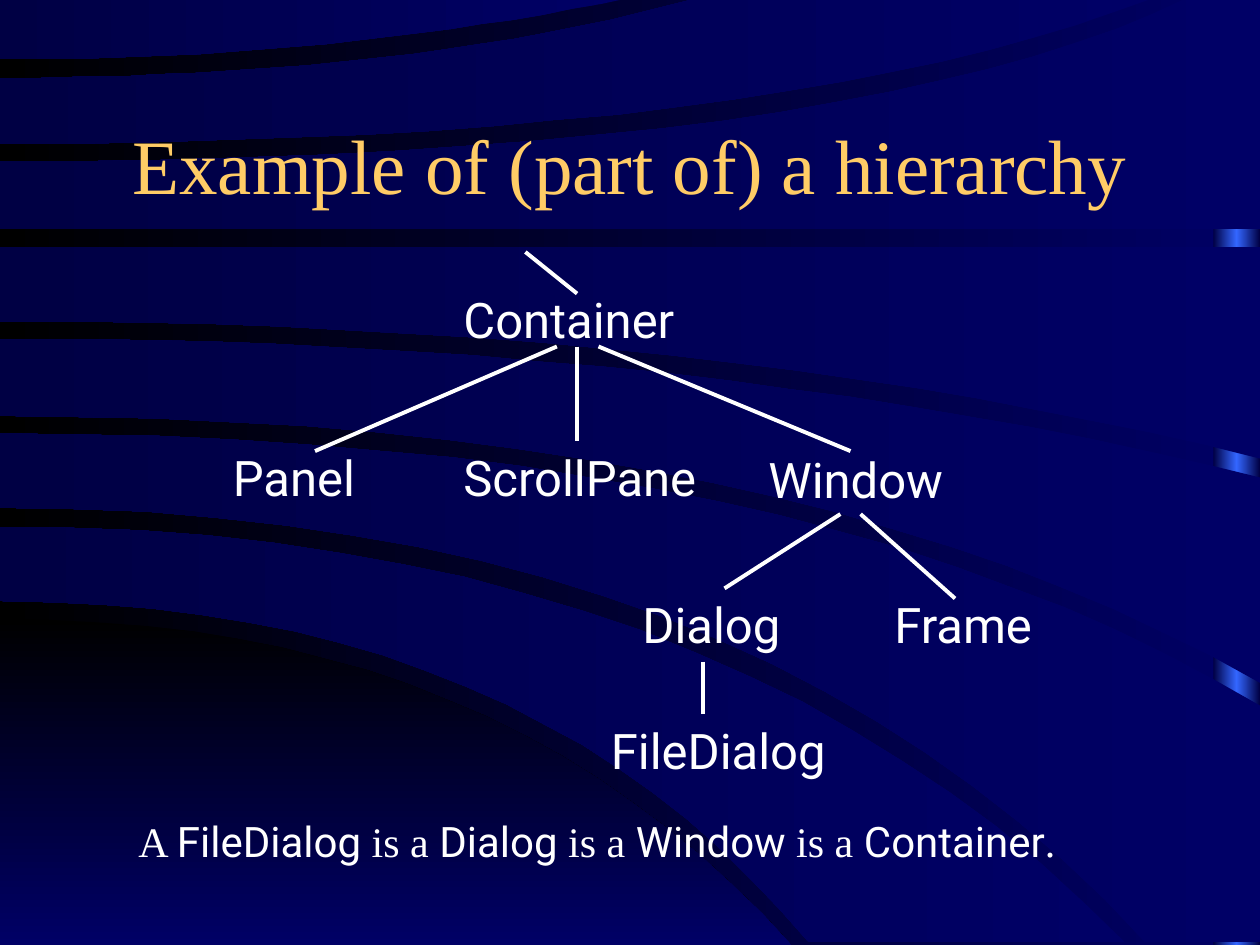
from copy import deepcopy
from dataclasses import dataclass

from lxml import etree
from pptx import Presentation
from pptx.dml.color import RGBColor
from pptx.enum import shapes, text
from pptx.oxml.ns import qn
from pptx.util import Pt

PX = 9144  # EMU per px, 100 px to the inch
WIDTH, HEIGHT = 1000, 750
STEPS = 20  # straight pieces in one curved edge
SERIF, SANS = "Times New Roman", "Roboto"

NAVY = RGBColor(0x00, 0x00, 0x66)
DEEP = RGBColor(0x00, 0x00, 0x44)
BLACK = RGBColor(0x00, 0x00, 0x00)
BLUE = RGBColor(0x33, 0x66, 0xFF)
GOLD = RGBColor(0xFF, 0xCC, 0x66)
WHITE = RGBColor(0xFF, 0xFF, 0xFF)

Point = tuple[int, int]


@dataclass
class Edge:
    """Curve that leaves the left side level and bends towards its end."""
    y: int
    bend: int
    end: Point

    def points(self) -> list[Point]:
        curve = []
        for step in range(STEPS + 1):
            t = step / STEPS
            x = 2 * t * (1 - t) * self.bend + t * t * self.end[0]
            curve.append((round(x), round(self.y + t * t * (self.end[1] - self.y))))
        return curve


@dataclass
class Band:
    upper: Edge
    lower: Edge
    corner: Point | None = None


@dataclass
class Node:
    name: str
    x: int
    y: int
    w: int
    h: int = 57


@dataclass
class Link:
    start: Point
    end: Point


def level(y: int, x_end: int = WIDTH) -> Edge:
    return Edge(y, x_end // 2, (x_end, y))


DISC = Band(Edge(491, 398, (628, HEIGHT)), level(HEIGHT, 628))

# From the lowest to the highest
BANDS = [
    Band(Edge(418, 570, (893, 748)), Edge(477, 419, (642, 748))),
    Band(Edge(344, 640, (WIDTH, 560)), Edge(403, 595, (909, 748)), (WIDTH, 748)),
    Band(Edge(269, 556, (WIDTH, 379)), Edge(330, 630, (WIDTH, 542))),
    Band(level(196), Edge(255, 566, (WIDTH, 364))),
    Band(Edge(128, 676, (943, -2)), level(182), (WIDTH, -2)),
    Band(Edge(62, 322, (556, -2)), Edge(114, 616, (917, -2))),
    Band(level(-2, 501), Edge(47, 268, (501, -2))),
]

NODES = [
    Node("Container", 358, 225, 300),
    Node("Panel", 175, 350, 133),
    Node("ScrollPane", 358, 350, 208, 104),
    Node("Window", 600, 352, 167, 104),
    Node("Dialog", 500, 467, 142),
    Node("Frame", 700, 467, 142),
    Node("FileDialog", 475, 567, 208),
]

LINKS = [
    Link((442, 275), (250, 358)),
    Link((458, 275), (458, 350)),
    Link((475, 275), (675, 358)),
    Link((667, 408), (575, 467)),
    Link((683, 408), (758, 475)),
    Link((558, 525), (558, 567)),
    Link((458, 233), (417, 200)),
]


def set_gradient(fill, first: RGBColor, last: RGBColor, angle: int) -> None:
    fill.gradient()
    fill.gradient_angle = angle
    for stop, color in zip(fill.gradient_stops, (first, last)):
        stop.color.rgb = color


def add_band(parent, band: Band, first: RGBColor, last: RGBColor, angle: int) -> None:
    corner = [band.corner] if band.corner else []
    points = band.upper.points() + corner + band.lower.points()[::-1]
    builder = parent.build_freeform(*points[0], scale=PX)
    builder.add_line_segments(points[1:], close=True)
    sp = builder.convert_to_shape()
    sp.shadow.inherit = False
    sp.line.fill.background()
    set_gradient(sp.fill, first, last, angle)


def add_text(parent, x: int, y: int, w: int, h: int, runs: list[tuple[str, str]],
             size: int, color: RGBColor = WHITE):
    sp = parent.add_textbox(x * PX, y * PX, w * PX, h * PX)
    tf = sp.text_frame
    tf.word_wrap = True
    p = tf.paragraphs[0]
    for words, font in runs:
        r = p.add_run()
        r.text = words
        r.font.name = font
        r.font.size = Pt(size)
        r.font.color.rgb = color
    return tf


def add_link(parent, link: Link) -> None:
    ends = [v * PX for v in link.start + link.end]
    line = parent.add_connector(shapes.MSO_CONNECTOR.STRAIGHT, *ends)
    line.line.color.rgb = WHITE
    line.line.width = Pt(2.25)
    etree.SubElement(line._element.spPr, qn("a:effectLst"))


def main() -> None:
    prs = Presentation()
    prs.slide_width, prs.slide_height = WIDTH * PX, HEIGHT * PX
    s = prs.slides.add_slide(prs.slide_layouts[6])

    # Background and the glowing strip at the right edge
    set_gradient(s.background.fill, NAVY, BLACK, 180)
    strip = s.shapes.add_shape(shapes.MSO_SHAPE.RECTANGLE, 963 * PX, 0, 37 * PX, HEIGHT * PX)
    strip.shadow.inherit = False
    strip.line.fill.background()
    set_gradient(strip.fill, DEEP, DEEP, 180)
    stops = strip._element.spPr.find(".//" + qn("a:gsLst"))
    middle = deepcopy(stops[0])
    middle.set("pos", "50000")
    middle[0].set("val", str(BLUE))
    stops.insert(1, middle)

    # Dark disc and curved bands
    add_band(s.shapes, DISC, BLACK, NAVY, 270)
    for band in BANDS:
        add_band(s.shapes, band, NAVY, DEEP, 180)

    # Title
    tf = add_text(s.shapes, 75, 67, 850, 125,
                  [("Example of (part of) a hierarchy", SERIF)], 44, GOLD)
    tf.vertical_anchor = text.MSO_ANCHOR.MIDDLE
    tf.paragraphs[0].alignment = text.PP_ALIGN.CENTER

    # Closing sentence
    add_text(s.shapes, 100, 642, 842, 50,
             [("A ", SERIF), ("FileDialog", SANS), (" is a ", SERIF), ("Dialog", SANS),
              (" is a ", SERIF), ("Window", SANS), (" is a ", SERIF), ("Container", SANS),
              (".", SERIF)], 24)

    # Class tree
    tree = s.shapes.add_group_shape().shapes
    for node in NODES:
        add_text(tree, node.x, node.y, node.w, node.h, [(node.name, SANS)], 28)
    for link in LINKS:
        add_link(tree, link)

    prs.save("out.pptx")


if __name__ == "__main__":
    main()
